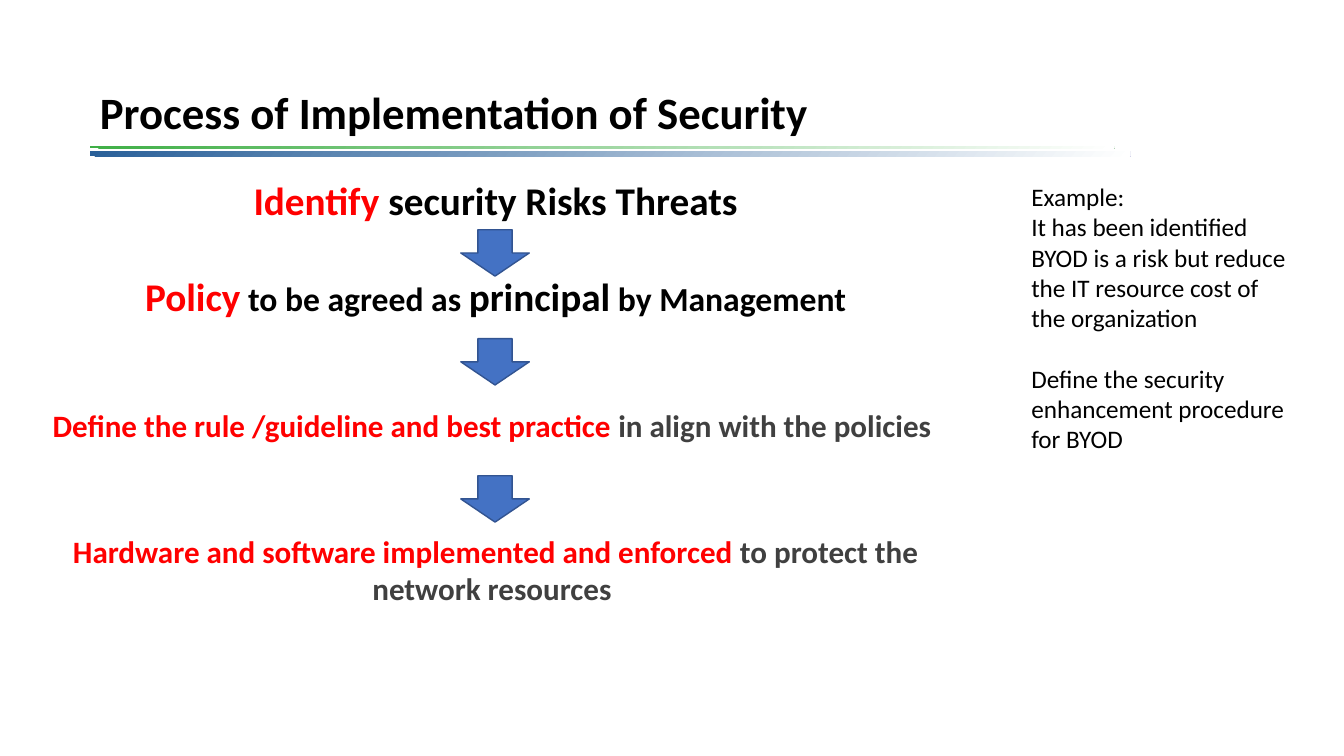
from pptx import Presentation
from pptx.dml.color import RGBColor
from pptx.enum.shapes import MSO_SHAPE as Shape
from pptx.enum.text import MSO_ANCHOR as Anchor, MSO_AUTO_SIZE as Fit, PP_ALIGN as Align
from pptx.util import Inches, Pt

BLACK = RGBColor(0, 0, 0)
WHITE = RGBColor(0xFF, 0xFF, 0xFF)
RED = RGBColor(0xFF, 0, 0)
GRAY = RGBColor(0x40, 0x40, 0x40)
BLUE = RGBColor(0x44, 0x72, 0xC4)
EDGE = RGBColor(0x32, 0x54, 0x91)
NAVY = RGBColor(0x2A, 0x60, 0x99)
GREEN = RGBColor(0x3F, 0xAF, 0x46)


def add_run(para, text, size, color, bold=True):
    run = para.add_run()
    run.text = text
    font = run.font
    font.name, font.size, font.bold = "Calibri", Pt(size), bold
    font.color.rgb = color


def add_box(left, top, width, height):
    box = slide.shapes.add_textbox(Inches(left), Inches(top), Inches(width), Inches(height))
    box.text_frame.word_wrap = True
    return box.text_frame


deck = Presentation()
deck.slide_width, deck.slide_height = Inches(13.33), Inches(7.5)
slide = deck.slides.add_slide(deck.slide_layouts[5])

# Fading rules under the title
for top, width, height, color in [(1.5, 10.32, 0.05, NAVY), (1.45, 10.16, 0.02, GREEN)]:
    bar = slide.shapes.add_shape(
        Shape.RECTANGLE, Inches(0.89), Inches(top), Inches(width), Inches(height))
    bar.shadow.inherit = False
    bar.line.fill.background()
    bar.fill.gradient()
    bar.fill.gradient_angle = 319
    for stop, shade in zip(bar.fill.gradient_stops, (color, WHITE)):
        stop.color.rgb = shade

# Title
title = slide.shapes.title
title.left, title.top = Inches(0.89), Inches(0.57)
title.width, title.height = Inches(11.5), Inches(1.14)
frame = title.text_frame
frame.auto_size = Fit.NONE
frame.vertical_anchor = Anchor.MIDDLE
para = frame.paragraphs[0]
para.alignment, para.line_spacing = Align.LEFT, 0.9
add_run(para, "Process of Implementation of Security", 32, BLACK)

# Steps: box, line spacing, runs
steps = [
    ((1.3, 1.75, 7.23, 0.64), 0.9,
     [("Identify ", 28, RED), ("security Risks Threats", 28, BLACK)]),
    ((1.3, 2.71, 7.23, 0.64), 0.9,
     [("Policy", 28, RED), (" to be agreed as ", 24, BLACK),
      ("principal", 28, BLACK), (" by Management", 24, BLACK)]),
    ((0.33, 3.98, 9.17, 0.74), 1.0,
     [("Define the rule /guideline and best practice ", 22.2, RED),
      ("in align with the policies ", 22.2, GRAY)]),
    ((0.33, 5.23, 9.17, 0.79), 1.0,
     [("Hardware and software implemented and enforced", 22.2, RED),
      (" to protect the network resources ", 22.2, GRAY)]),
]
for place, space, runs in steps:
    para = add_box(*place).paragraphs[0]
    para.alignment, para.line_spacing = Align.CENTER, space
    for text, size, color in runs:
        add_run(para, text, size, color)

# Arrows between the steps
for top in (2.28, 3.36, 4.72):
    arrow = slide.shapes.add_shape(
        Shape.DOWN_ARROW, Inches(4.57), Inches(top), Inches(0.68), Inches(0.46))
    arrow.shadow.inherit = False
    arrow.fill.solid()
    arrow.fill.fore_color.rgb = BLUE
    arrow.line.color.rgb = EDGE
    arrow.line.width = Pt(1)

# Example at the right; the last part stands one line apart
frame = add_box(10.13, 1.75, 2.72, 2.83)
frame.auto_size = Fit.SHAPE_TO_FIT_TEXT
notes = [
    ("Example:", 0),
    ("It has been identified BYOD is a risk but reduce the IT resource cost "
     "of the organization", 0),
    ("Define the security enhancement procedure for BYOD", 22),
]
for i, (text, gap) in enumerate(notes):
    para = frame.add_paragraph() if i else frame.paragraphs[0]
    para.space_before = Pt(gap)
    add_run(para, text, 18, BLACK, bold=False)

deck.save("out.pptx")
